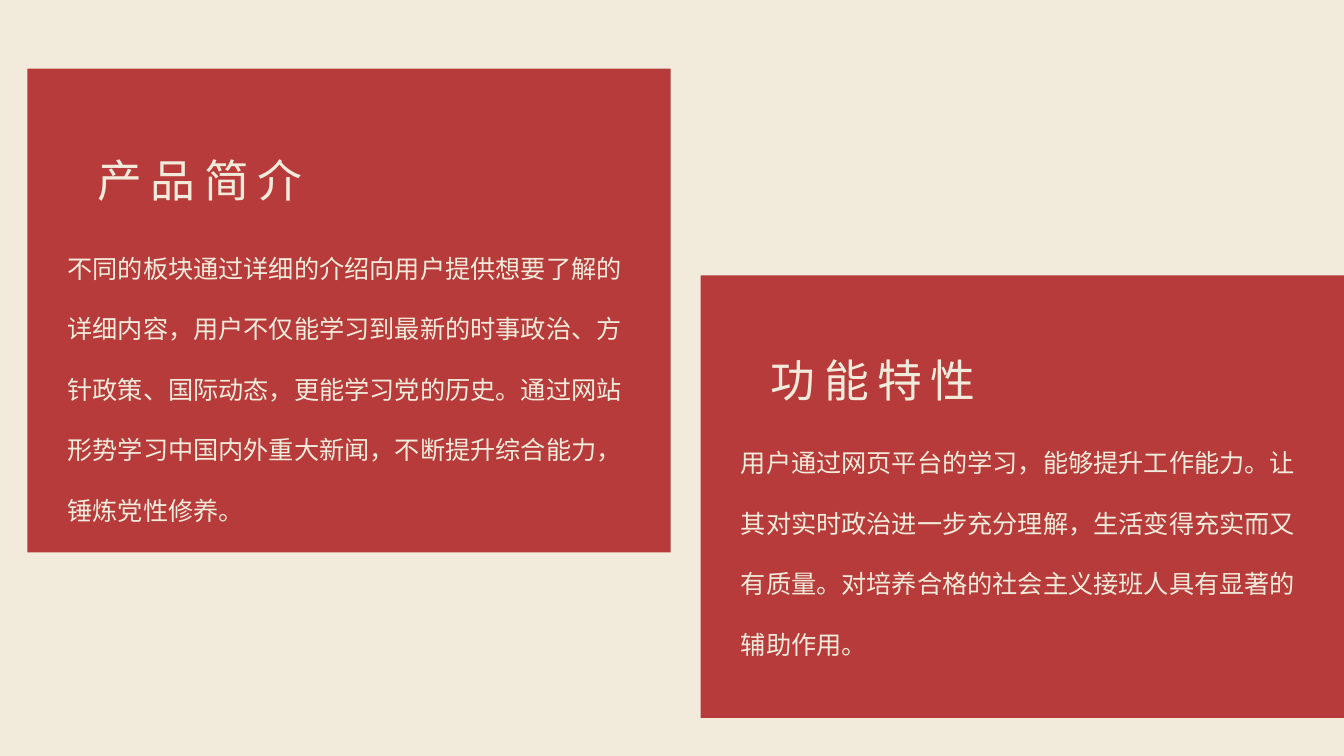
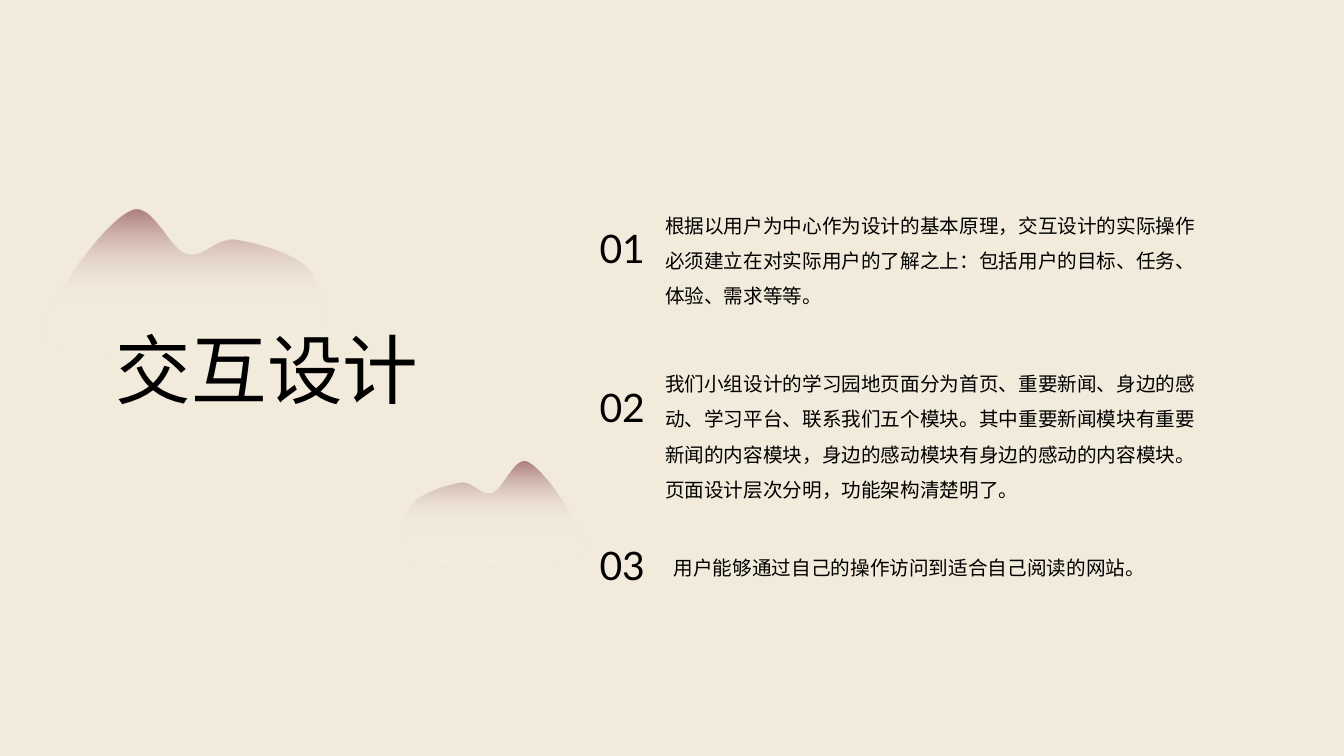
from lxml import etree
from pptx import Presentation
from pptx.dml.color import RGBColor
from pptx.enum.shapes import MSO_SHAPE
from pptx.enum.text import MSO_AUTO_SIZE
from pptx.oxml import parse_xml
from pptx.oxml.ns import nsdecls, qn
from pptx.util import Cm, Pt

CREAM, RED, BLACK = "F2EBDB", "B73B3A", "000000"
BODY_FONT = "Lato"
PANEL_FONT = "Noto Sans CJK JP"
TITLE_FONT = "Noto Sans CJK SC"

RIDGE_WIDTH, RIDGE_HEIGHT = 280, 147
RIDGE_START = (23, 73)
RIDGE_CURVES = [
    ((35, 51), (71, 5), (90, 0)),
    ((110, -4), (125, 39), (142, 44)),
    ((159, 49), (171, 27), (191, 30)),
    ((212, 33), (255, 45), (266, 63)),
    ((277, 81), (297, 129), (256, 141)),
    ((215, 153), (58, 145), (19, 133)),
    ((-19, 121), (11, 95), RIDGE_START),
]
MIST_STOPS = [(0, "72202A", 53), (64, "FFFFFF", 0), (100, "FFFFFF", 10)]

PANELS = [
    (0.69, 1.73, 12.19, 2, 1.76, 8.46, "产品简介",
     "不同的板块通过详细的介绍向用户提供想要了解的详细内容，用户不仅能学习到最新的时事政治、"
     "方针政策、国际动态，更能学习党的历史。通过网站形势学习中国内外重大新闻，不断提升综合能力，"
     "锤炼党性修养。"),
    (17.66, 6.94, 11.15, 1.82, 1.63, 6.17, "功能特性",
     "用户通过网页平台的学习，能够提升工作能力。让其对实时政治进一步充分理解，"
     "生活变得充实而又有质量。对培养合格的社会主义接班人具有显著的辅助作用。"),
]
POINTS = [
    (16.51, 4.96, 2.84,
     "根据以用户为中心作为设计的基本原理，交互设计的实际操作必须建立在对实际用户的了解之上："
     "包括用户的目标、任务、体验、需求等等。"),
    (16.51, 8.95, 3.73,
     "我们小组设计的学习园地页面分为首页、重要新闻、身边的感动、学习平台、联系我们五个模块。"
     "其中重要新闻模块有重要新闻的内容模块，身边的感动模块有身边的感动的内容模块。"
     "页面设计层次分明，功能架构清楚明了。"),
    (16.73, 13.59, 1.04, "用户能够通过自己的操作访问到适合自己阅读的网站。"),
]


def color(value):
    """Turn a hex string into a colour."""
    return RGBColor.from_string(value)


class Deck:
    """Hold the shared style and the current slide."""

    def __init__(self):
        """Start a wide presentation."""
        self.presentation = Presentation()
        self.presentation.slide_width = Cm(33.87)
        self.presentation.slide_height = Cm(19.05)
        self.page = None

    def add_page(self):
        """Add a blank slide with the cream background."""
        self.page = self.presentation.slides.add_slide(self.presentation.slide_layouts[6])
        fill = self.page.background.fill
        fill.solid()
        fill.fore_color.rgb = color(CREAM)

    def text(self, left, top, width, height, content, size, font=BODY_FONT,
             ink=BLACK, line_spacing=None, tracking=0):
        """Add a one-paragraph text box."""
        box = self.page.shapes.add_textbox(Cm(left), Cm(top), Cm(width), Cm(height))
        box.text_frame.word_wrap = True
        box.text_frame.auto_size = MSO_AUTO_SIZE.SHAPE_TO_FIT_TEXT
        paragraph = box.text_frame.paragraphs[0]
        paragraph.text = content
        paragraph.line_spacing = line_spacing
        paragraph.font.size = Pt(size)
        paragraph.font.name = font
        paragraph.font.color.rgb = color(ink)
        properties = paragraph._p.pPr.find(qn("a:defRPr"))
        properties.set("spc", str(tracking * 100))
        etree.SubElement(properties, qn("a:ea")).set("typeface", BODY_FONT)

    def panel(self, left, top, height, inset, heading_height, body_height, heading, body):
        """Add a red panel with a heading and a body text."""
        block = self.page.shapes.add_shape(
            MSO_SHAPE.RECTANGLE, Cm(left), Cm(top), Cm(16.21), Cm(height))
        block.shadow.inherit = False
        block.fill.solid()
        block.fill.fore_color.rgb = color(RED)
        block.line.fill.background()
        heading_top = top + inset
        self.text(left + 1.52, heading_top, 6.96, heading_height, heading, 32,
                  PANEL_FONT, CREAM, tracking=6)
        self.text(left + 0.76, heading_top + heading_height, 14.71, body_height, body, 18,
                  PANEL_FONT, CREAM, line_spacing=2)

    def mountain(self, left, top, width, height, flipped=False):
        """Add a curved mountain ridge that fades into mist."""
        scale = (Cm(width) / RIDGE_WIDTH, Cm(height) / RIDGE_HEIGHT)
        builder = self.page.shapes.build_freeform(0, 0, scale=scale)
        builder.add_line_segments([(RIDGE_WIDTH, 0), (RIDGE_WIDTH, RIDGE_HEIGHT)])
        ridge = builder.convert_to_shape(Cm(left), Cm(top))
        ridge.shadow.inherit = False
        ridge.line.fill.background()
        ridge.fill.background()
        properties = ridge._element.spPr
        self.curve(properties.find(".//" + qn("a:path")), flipped)
        stops = "".join(
            f'<a:gs pos="{position * 1000}"><a:srgbClr val="{tint}">'
            f'<a:alpha val="{alpha * 1000}"/></a:srgbClr></a:gs>'
            for position, tint, alpha in MIST_STOPS)
        gradient = parse_xml(
            f'<a:gradFill {nsdecls("a")} rotWithShape="1"><a:gsLst>{stops}</a:gsLst>'
            '<a:lin ang="5400000" scaled="0"/></a:gradFill>')
        properties.replace(properties.find(qn("a:noFill")), gradient)

    def curve(self, outline, flipped):
        """Give an outline the Bezier curves of the ridge."""
        for segment in list(outline):
            outline.remove(segment)
        outline.set("w", str(RIDGE_WIDTH))
        outline.set("h", str(RIDGE_HEIGHT))
        segments = [("a:moveTo", [RIDGE_START])]
        segments += [("a:cubicBezTo", points) for points in RIDGE_CURVES]
        for tag, points in segments + [("a:close", [])]:
            segment = etree.SubElement(outline, qn(tag))
            for x, y in points:
                point = etree.SubElement(segment, qn("a:pt"))
                point.set("x", str(RIDGE_WIDTH - x if flipped else x))
                point.set("y", str(y))


def main():
    """Build and save the deck."""
    deck = Deck()
    deck.add_page()
    for panel in PANELS:
        deck.panel(*panel)

    deck.add_page()
    for index, (left, top, height, content) in enumerate(POINTS):
        deck.text(left, top, 13.97, height, content, 14, line_spacing=1.5)
        deck.text(14.86, 5.54 + index * 3.99, 1.88, 1.45, f"{index + 1:02}", 28)
    deck.mountain(1.09, 5.28, 7.11, 3.73)
    deck.mountain(10.13, 11.63, 4.6, 2.64, flipped=True)
    deck.text(2.67, 8, 16.92, 2.57, "交互设计", 54, TITLE_FONT)
    deck.presentation.save("out.pptx")


if __name__ == "__main__":
    main()
